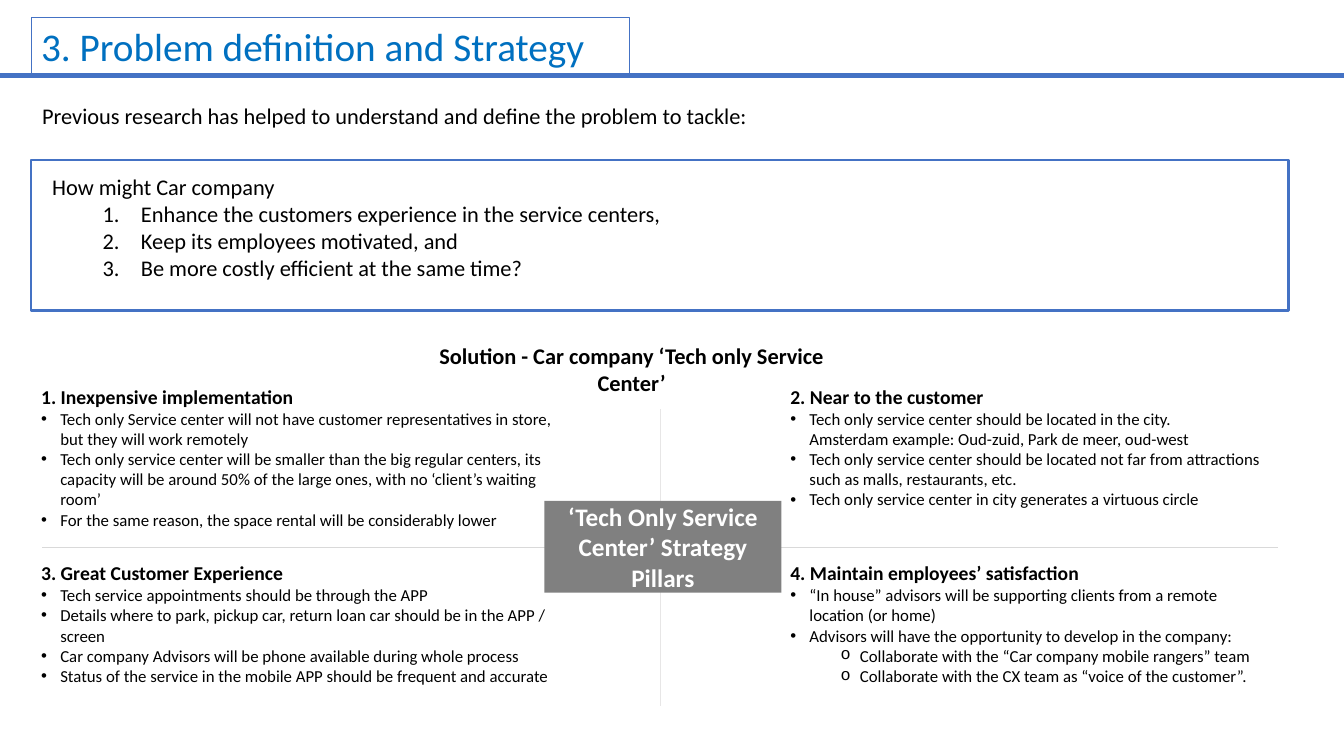
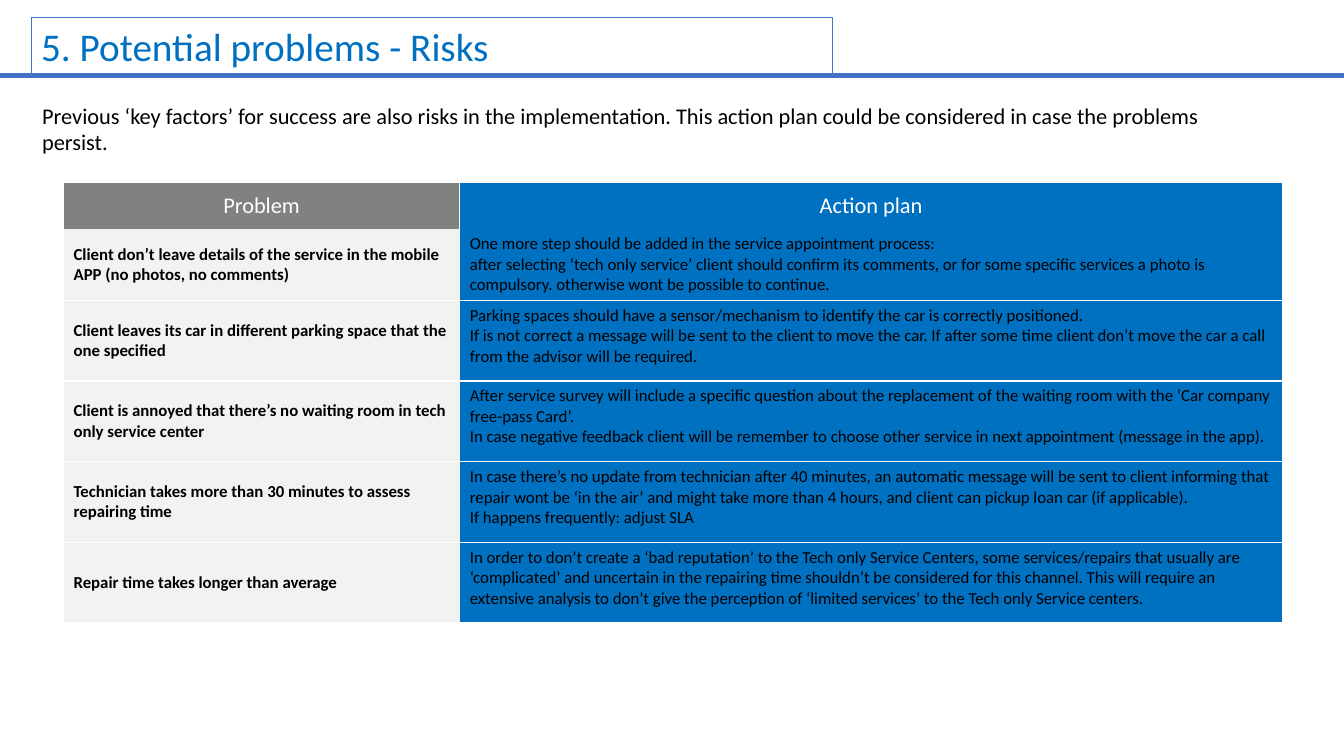
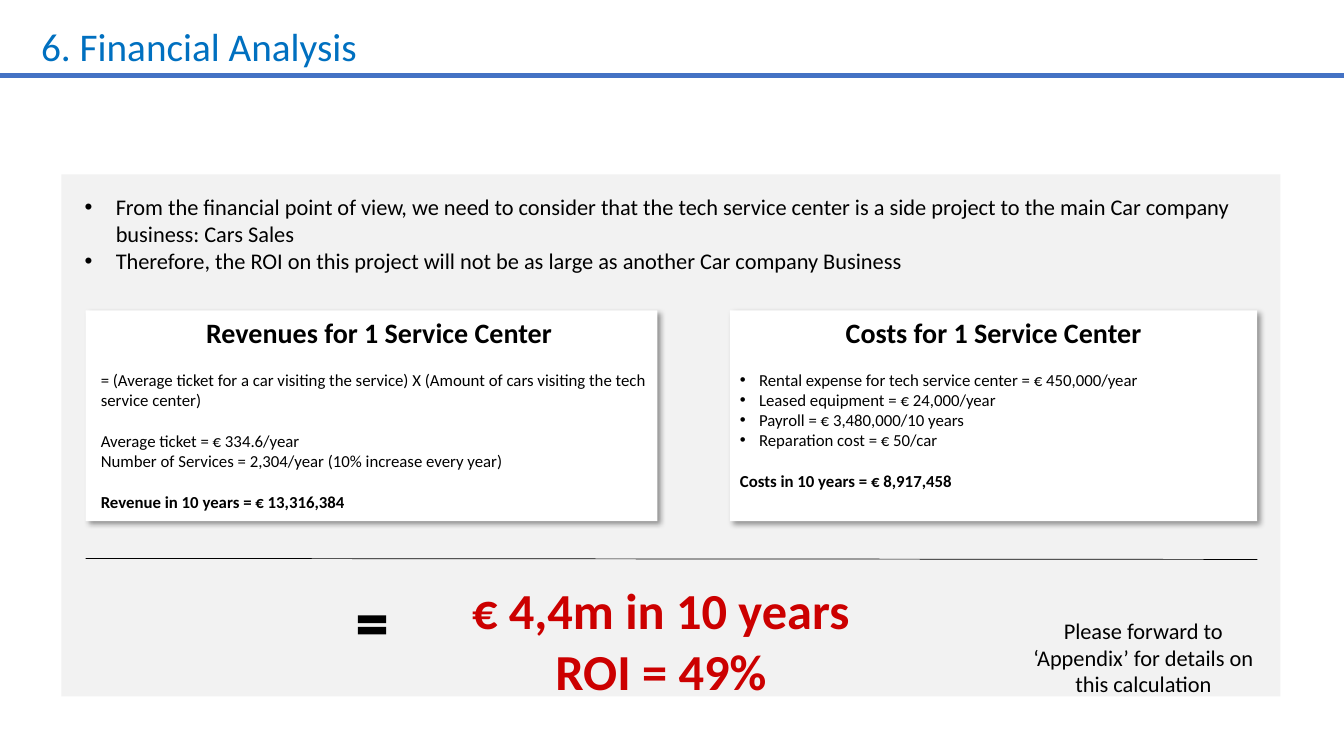
from dataclasses import dataclass
from typing import NamedTuple

from lxml.etree import SubElement
from pptx import Presentation
from pptx.dml.color import RGBColor
from pptx.enum.shapes import MSO_CONNECTOR, MSO_SHAPE
from pptx.enum.text import MSO_ANCHOR, PP_ALIGN
from pptx.oxml.ns import qn
from pptx.shapes.autoshape import Shape
from pptx.slide import Slide
from pptx.table import _Cell as Cell
from pptx.text.text import TextFrame
from pptx.util import Inches, Pt

FONT = "Calibri"
BLACK = RGBColor(0x00, 0x00, 0x00)
WHITE = RGBColor(0xFF, 0xFF, 0xFF)
BLUE = RGBColor(0x00, 0x70, 0xC0)
EDGE = RGBColor(0x44, 0x72, 0xC4)
RED = RGBColor(0xCC, 0x00, 0x00)
GREY = RGBColor(0x80, 0x80, 0x80)
HEAD = RGBColor(0x81, 0x81, 0x81)
PALE = RGBColor(0xF2, 0xF2, 0xF2)
RULE = RGBColor(0xD9, 0xD9, 0xD9)
MIST = RGBColor(0xE7, 0xE6, 0xE6)

WIDE = 13.33
GAP = 14.65  # height in points of one 12 pt line
PLAIN_GRID = "{2D5ABB26-0587-4C30-8999-92F81FD0307C}"


class Box(NamedTuple):
    x: float
    y: float
    w: float
    h: float


class Mark(NamedTuple):
    """Bullet sign with its indent and hang in inches."""
    sign: str
    left: float
    hang: float
    font: str = "Arial"


DOT = Mark("•", 0.19, 0.19)
BIG = Mark("•", 0.31, 0.31)
RING = Mark("o", 0.69, 0.19, "Courier New")
COUNT = Mark("1.", 0.88, 0.38)
FLUSH = Mark("", 0.19, 0)


class Point(NamedTuple):
    text: str
    mark: Mark | None = DOT
    bold: bool = False
    gap: float = 0


@dataclass
class Pillar:
    title: str
    box: Box
    points: list[Point]


@dataclass
class Card:
    title: str
    box: Box
    inset: tuple[float, float]
    points: list[Point]


@dataclass
class Risk:
    problem: str
    plan: list[str]
    height: float = 0.8


PILLARS = [
    Pillar("1. Inexpensive implementation", Box(0.31, 3.77, 5.27, 1.58), [
        Point("Tech only Service center will not have customer representatives in store, "
              "but they will work remotely"),
        Point("Tech only service center will be smaller than the big regular centers, its "
              "capacity will be around 50% of the large ones, with no ‘client’s waiting room’"),
        Point("For the same reason, the space rental will be considerably lower"),
    ]),
    Pillar("2. Near to the customer", Box(7.74, 3.77, 4.94, 1.35), [
        Point("Tech only service center should be located in the city."),
        Point("Amsterdam example: Oud-zuid, Park de meer, oud-west", FLUSH),
        Point("Tech only service center should be located not far from attractions "
              "such as malls, restaurants, etc."),
        Point("Tech only service center in city generates a virtuous circle"),
    ]),
    Pillar("3. Great Customer Experience", Box(0.31, 5.52, 5.27, 1.35), [
        Point("Tech service appointments should be through the APP"),
        Point("Details where to park, pickup car, return loan car should be in the APP / screen"),
        Point("Car company Advisors will be phone available during whole process"),
        Point("Status of the service in the mobile APP should be frequent and accurate"),
    ]),
    Pillar("4. Maintain employees’ satisfaction", Box(7.74, 5.52, 4.94, 1.35), [
        Point("“In house” advisors will be supporting clients from a remote location (or home)"),
        Point("Advisors will have the opportunity to develop in the company:"),
        Point("Collaborate with the “Car company mobile rangers” team", RING),
        Point("Collaborate with the CX team as “voice of the customer”.", RING),
    ]),
]

RISKS = [
    Risk("Client don’t leave details of the service in the mobile APP (no photos, no comments)", [
        "One more step should be added in the service appointment process:",
        "after selecting ‘tech only service’ client should confirm its comments, or for some "
        "specific services a photo is compulsory. otherwise wont be possible to continue.",
    ], 0.71),
    Risk("Client leaves its car in different parking space that the one specified", [
        "Parking spaces should have a sensor/mechanism to identify the car is correctly "
        "positioned.",
        "If is not correct a message will be sent to the client to move the car. If after some "
        "time client don’t move the car a call from the advisor will be required.",
    ]),
    Risk("Client is annoyed that there’s no waiting room in tech only service center", [
        "After service survey will include a specific question about the replacement of the "
        "waiting room with the ‘Car company free-pass Card’.",
        "In case negative feedback client will be remember to choose other service in next "
        "appointment (message in the app).",
    ]),
    Risk("Technician takes more than 30 minutes to assess repairing time", [
        "In case there’s no update from technician after 40 minutes, an automatic message will "
        "be sent to client informing that repair wont be ‘in the air’ and might take more than "
        "4 hours, and client can pickup loan car (if applicable).",
        "If happens frequently: adjust SLA",
    ]),
    Risk("Repair time takes longer than average", [
        "In order to don’t create a ‘bad reputation’ to the Tech only Service Centers, some "
        "services/repairs that usually are ‘complicated’ and uncertain in the repairing time "
        "shouldn’t be considered for this channel. This will require an extensive analysis to "
        "don’t give the perception of ‘limited services’ to the Tech only Service centers.",
    ]),
]

CARDS = [
    Card("Revenues for 1 Service Center", Box(0.85, 3.08, 5.67, 2.09), (0.15, 0), [
        Point("= (Average ticket for a car visiting the service) X "
              "(Amount of cars visiting the tech service center)", None, gap=GAP),
        Point("Average ticket = € 334.6/year", None, gap=GAP),
        Point("Number of Services = 2,304/year (10% increase every year)", None),
        Point("Revenue in 10 years = € 13,316,384", None, True, GAP),
    ]),
    Card("Costs for 1 Service Center", Box(7.24, 3.08, 5.23, 2.09), (0.1, 0.1), [
        Point("Rental expense for tech service center = € 450,000/year", gap=GAP),
        Point("Leased equipment = € 24,000/year"),
        Point("Payroll = € 3,480,000/10 years"),
        Point("Reparation cost = € 50/car"),
        Point("Costs in 10 years = € 8,917,458", None, True, GAP),
    ]),
]


def write(frame: TextFrame, text: str, *, size: float = 16, bold: bool = False,
          color: RGBColor = BLACK, align: PP_ALIGN = PP_ALIGN.LEFT,
          mark: Mark | None = None, gap: float = 0) -> None:
    """Add one paragraph, filling the first one if it is still empty."""
    para = frame.paragraphs[-1]
    if para.text:
        para = frame.add_paragraph()
    para.alignment = align
    para.space_before = Pt(gap)
    run = para.add_run()
    run.text = text
    run.font.name, run.font.size, run.font.bold = FONT, Pt(size), bold
    run.font.color.rgb = color
    if mark:
        props = para._p.get_or_add_pPr()
        props.set("marL", str(Inches(mark.left)))
        props.set("indent", str(-Inches(mark.hang)))
        if mark.sign == "1.":
            SubElement(props, qn("a:buAutoNum"), type="arabicPeriod")
        elif mark.sign:
            SubElement(props, qn("a:buFont"), typeface=mark.font)
            SubElement(props, qn("a:buChar"), char=mark.sign)


def list_points(frame: TextFrame, points: list[Point]) -> None:
    for item in points:
        write(frame, item.text, size=12, bold=item.bold, mark=item.mark, gap=item.gap)


def add_text(slide: Slide, box: Box) -> TextFrame:
    frame = slide.shapes.add_textbox(*map(Inches, box)).text_frame
    frame.word_wrap = True
    return frame


def add_box(slide: Slide, box: Box, fill: RGBColor | None = None,
            line: RGBColor | None = None, width: float = 0.75,
            kind: MSO_SHAPE = MSO_SHAPE.RECTANGLE) -> Shape:
    shape = slide.shapes.add_shape(kind, *map(Inches, box))
    shape.shadow.inherit = False
    if fill is None:
        shape.fill.background()
    else:
        shape.fill.solid()
        shape.fill.fore_color.rgb = fill
    if line is None:
        shape.line.fill.background()
    else:
        shape.line.color.rgb = line
        shape.line.width = Pt(width)
    shape.text_frame.word_wrap = True
    shape.text_frame.vertical_anchor = MSO_ANCHOR.TOP
    return shape


def add_line(slide: Slide, x1: float, y1: float, x2: float, y2: float,
             color: RGBColor, width: float = 0.5) -> None:
    line = slide.shapes.add_connector(MSO_CONNECTOR.STRAIGHT, *map(Inches, (x1, y1, x2, y2)))
    line.line.color.rgb = color
    line.line.width = Pt(width)
    SubElement(line._element.spPr, qn("a:effectLst"))


def cast_shadow(shape: Shape) -> None:
    effects = shape._element.spPr.find(qn("a:effectLst"))
    outer = SubElement(effects, qn("a:outerShdw"), blurRad=str(Pt(4)), dist=str(Pt(3)),
                       dir="2700000", algn="tl", rotWithShape="0")
    color = SubElement(outer, qn("a:srgbClr"), val=str(BLACK))
    SubElement(color, qn("a:alpha"), val="40000")


def add_page(deck: Presentation, title: str, width: float, framed: bool = True) -> Slide:
    """Add a blank slide with the shared title and the rule below it."""
    slide = deck.slides.add_slide(deck.slide_layouts[6])
    shape = add_box(slide, Box(0.31, 0.17, width, 0.57), line=EDGE if framed else None)
    write(shape.text_frame, title, size=28, color=BLUE)
    add_line(slide, 0, 0.75, WIDE, 0.75, EDGE, 3)
    return slide


def style_cell(cell: Cell, fill: RGBColor, sides: str,
               anchor: MSO_ANCHOR = MSO_ANCHOR.MIDDLE) -> TextFrame:
    """Fill a cell and draw white borders on the sides, given in L, R, T, B order."""
    props = cell._tc.get_or_add_tcPr()
    for side in sides:
        line = SubElement(props, qn(f"a:ln{side}"), w=str(Pt(1)))
        SubElement(SubElement(line, qn("a:solidFill")), qn("a:srgbClr"), val=str(WHITE))
    cell.fill.solid()
    cell.fill.fore_color.rgb = fill
    cell.vertical_anchor = anchor
    return cell.text_frame


def draw_strategy(deck: Presentation) -> None:
    slide = add_page(deck, "3. Problem definition and Strategy", 5.93)
    write(add_text(slide, Box(0.32, 0.96, 12.52, 0.37)),
          "Previous research has helped to understand and define the problem to tackle:")
    add_box(slide, Box(0.31, 1.59, 12.47, 1.49), line=EDGE, width=1.5)
    goals = add_text(slide, Box(0.42, 1.67, 12.26, 1.18))
    write(goals, "How might Car company")
    for goal in ("Enhance the customers experience in the service centers,",
                 "Keep its employees motivated, and",
                 "Be more costly efficient at the same time?"):
        write(goals, goal, mark=COUNT)
    write(add_text(slide, Box(4.03, 3.35, 4.47, 0.64)),
          "Solution - Car company ‘Tech only Service Center’", bold=True, align=PP_ALIGN.CENTER)
    add_line(slide, 0.42, 5.43, 12.68, 5.43, RULE)
    add_line(slide, 6.55, 4.06, 6.55, 7, MIST)
    hub = add_box(slide, Box(5.4, 4.97, 2.35, 0.91), GREY).text_frame
    hub.vertical_anchor = MSO_ANCHOR.MIDDLE
    write(hub, "‘Tech Only Service Center’ Strategy Pillars", size=18, bold=True,
          color=WHITE, align=PP_ALIGN.CENTER)
    for pillar in PILLARS:
        frame = add_text(slide, pillar.box)
        write(frame, pillar.title, size=14, bold=True)
        list_points(frame, pillar.points)


def draw_risks(deck: Presentation) -> None:
    slide = add_page(deck, "5. Potential problems - Risks", 7.95)
    write(add_text(slide, Box(0.32, 0.96, 11.77, 0.64)),
          "Previous ‘key factors’ for success are also risks in the implementation. "
          "This action plan could be considered in case the problems persist.")
    area = Box(0.63, 1.81, 12.09, 4.37)
    table = slide.shapes.add_table(len(RISKS) + 1, 2, *map(Inches, area)).table
    table._tbl.tblPr.find(qn("a:tableStyleId")).text = PLAIN_GRID
    for col, width in zip(table.columns, (3.93, 8.16)):
        col.width = Inches(width)
    table.rows[0].height = Inches(0.46)
    for col, (head, fill) in enumerate((("Problem", HEAD), ("Action plan", BLUE))):
        write(style_cell(table.cell(0, col), fill, "LRT"), head,
              color=WHITE, align=PP_ALIGN.CENTER)
    for row, risk in enumerate(RISKS, 1):
        table.rows[row].height = Inches(risk.height)
        write(style_cell(table.cell(row, 0), PALE, "B"), risk.problem, size=12, bold=True)
        plan = style_cell(table.cell(row, 1), BLUE, "B", MSO_ANCHOR.TOP)
        for step in risk.plan:
            write(plan, step, size=12)


def draw_finance(deck: Presentation) -> None:
    slide = add_page(deck, "6. Financial Analysis", 7.95, framed=False)
    add_box(slide, Box(0.61, 1.73, 12.09, 5.18), PALE)
    intro = add_text(slide, Box(0.74, 1.87, 11.67, 0.91))
    for text in ("From the financial point of view, we need to consider that the tech service "
                 "center is a side project to the main Car company business: Cars Sales",
                 "Therefore, the ROI on this project will not be as large as another "
                 "Car company Business"):
        write(intro, text, mark=BIG)
    for card in CARDS:
        shape = add_box(slide, card.box, WHITE)
        cast_shadow(shape)
        frame = shape.text_frame
        frame.margin_left, frame.margin_right = map(Inches, card.inset)
        write(frame, card.title, size=20, bold=True, align=PP_ALIGN.CENTER)
        list_points(frame, card.points)
    add_line(slide, 0.85, 5.54, 12.47, 5.55, BLACK)
    add_box(slide, Box(3.5, 6.04, 0.38, 0.32), BLACK, kind=MSO_SHAPE.MATH_EQUAL)
    total = add_text(slide, Box(3.88, 5.7, 5.35, 1.31))
    for text in ("€ 4,4m in 10 years", "ROI = 49%"):
        write(total, text, size=36, bold=True, color=RED, align=PP_ALIGN.CENTER)
    write(add_text(slide, Box(9.98, 6.07, 2.72, 0.91)),
          "Please forward to ‘Appendix’ for details on this calculation",
          align=PP_ALIGN.CENTER)


def main() -> None:
    deck = Presentation()
    deck.slide_width, deck.slide_height = Inches(WIDE), Inches(7.5)
    draw_strategy(deck)
    draw_risks(deck)
    draw_finance(deck)
    deck.save("out.pptx")


if __name__ == "__main__":
    main()
